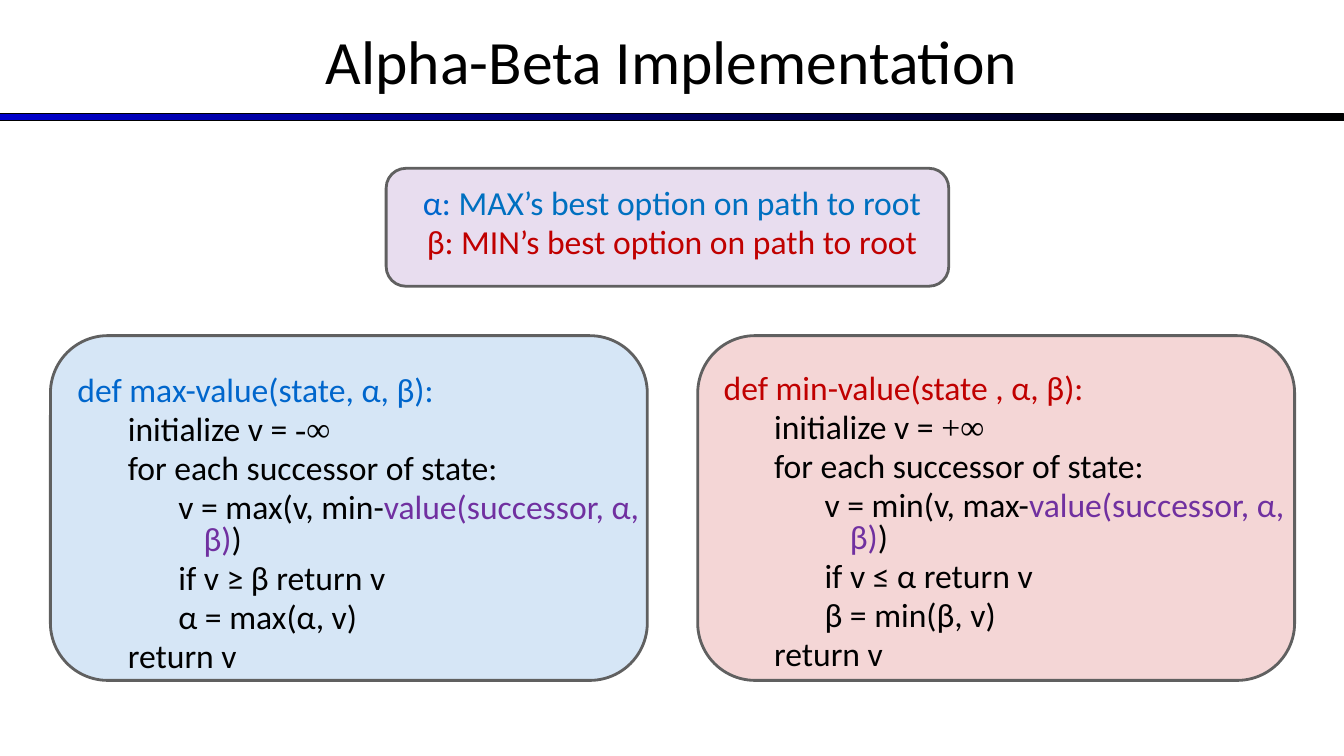
from dataclasses import dataclass

from lxml.etree import SubElement
from pptx import Presentation
from pptx.dml.color import RGBColor
from pptx.enum.shapes import MSO_SHAPE
from pptx.enum.text import MSO_ANCHOR, PP_ALIGN
from pptx.oxml.ns import qn
from pptx.util import Inches, Pt

BLACK, BLUE, LIGHT_BLUE = "000000", "0066CC", "0070C0"
RED, PURPLE, OUTLINE = "C00000", "7030A0", "606060"
BODY_FONT, SYMBOL_FONT = "Calibri", "Times New Roman"
INDENTS = [(0.37, -0.37), (0.81, -0.31), (1.25, -0.25)]


@dataclass
class Span:
    text: str
    color: str = BLACK
    font: str = BODY_FONT


@dataclass
class Line:
    level: int
    spans: list[Span]


@dataclass
class Box:
    left: float
    top: float
    width: float
    height: float

    def lengths(self) -> list[int]:
        return [Inches(n) for n in (self.left, self.top, self.width, self.height)]


@dataclass
class Panel:
    frame: Box
    color: str
    text_box: Box
    lines: list[Line]
    alignment: PP_ALIGN = PP_ALIGN.LEFT


def rgb(color: str) -> RGBColor:
    return RGBColor.from_string(color)


def add_span(paragraph, text: str, *, color: str = BLACK,
             font: str = BODY_FONT, size: float = 24) -> None:
    run = paragraph.add_run()
    run.text = text
    run.font.name = font
    run.font.size = Pt(size)
    run.font.color.rgb = rgb(color)


def add_lines(slide, box: Box, lines: list[Line], alignment: PP_ALIGN) -> None:
    frame = slide.shapes.add_textbox(*box.lengths()).text_frame
    frame.word_wrap = True
    for index, line in enumerate(lines):
        paragraph = frame.add_paragraph() if index else frame.paragraphs[0]
        paragraph.level = line.level
        paragraph.alignment = alignment
        paragraph.line_spacing = 0.8
        paragraph.space_before = Pt(4.8 if index else 0)
        margin, indent = INDENTS[line.level]
        properties = paragraph._p.get_or_add_pPr()
        properties.set("marL", str(Inches(margin)))
        properties.set("indent", str(Inches(indent)))
        for span in line.spans:
            add_span(paragraph, span.text, color=span.color, font=span.font)


def add_panel(slide, panel: Panel) -> None:
    shape = slide.shapes.add_shape(MSO_SHAPE.ROUNDED_RECTANGLE, *panel.frame.lengths())
    shape.shadow.inherit = False
    shape.fill.solid()
    shape.fill.fore_color.rgb = rgb(panel.color)
    fill_color = shape._element.spPr.find(f"{qn('a:solidFill')}/{qn('a:srgbClr')}")
    SubElement(fill_color, qn("a:alpha")).set("val", "16000")
    shape.line.color.rgb = rgb(OUTLINE)
    shape.line.width = Pt(2)
    add_lines(slide, panel.text_box, panel.lines, panel.alignment)


def add_title(slide, text: str) -> None:
    title = slide.shapes.title
    title.left, title.top, title.width, title.height = Box(0, -0.03, 13.33, 1.25).lengths()
    title.text_frame.vertical_anchor = MSO_ANCHOR.MIDDLE
    paragraph = title.text_frame.paragraphs[0]
    paragraph.alignment = PP_ALIGN.CENTER
    add_span(paragraph, text, size=44)


def add_title_rule(slide) -> None:
    rule = slide.shapes.add_shape(MSO_SHAPE.RECTANGLE, *Box(0, 1.13, 13.33, 0.07).lengths())
    rule.shadow.inherit = False
    rule.fill.gradient()
    rule.fill.gradient_angle = 0
    for stop, position, color in zip(rule.fill.gradient_stops, (0, 1), ("0000CC", BLACK)):
        stop.position = position
        stop.color.rgb = rgb(color)
    rule.line.color.rgb = rgb(BLACK)
    rule.line.width = Pt(0.75)


def value_function(header: str, color: str, start: str, update: str,
                   cutoff: str, bound: str) -> list[Line]:
    """Pseudocode shared by the max and min players."""
    return [
        Line(0, [Span(header, color)]),
        Line(1, [Span("initialize v = "), Span(start, font=SYMBOL_FONT)]),
        Line(1, [Span("for each successor of state:")]),
        Line(2, [Span(update), Span("value(successor, α, β)", PURPLE), Span(")")]),
        Line(2, [Span(cutoff)]),
        Line(2, [Span(bound)]),
        Line(1, [Span("return v")]),
    ]


PANELS = [
    Panel(Box(3.83, 1.67, 5.58, 1.17), PURPLE, Box(0, 1.83, 12.83, 0.95), [
        Line(1, [Span("α: ", BLUE), Span("MAX’s best option on path to root", LIGHT_BLUE)]),
        Line(1, [Span("β: MIN’s best option on path to root", RED)]),
    ], PP_ALIGN.CENTER),
    Panel(Box(0.5, 3.33, 5.92, 3.42), BLUE, Box(0.67, 3.69, 5.92, 3.05),
          value_function("def max-value(state, α, β):", BLUE, "-∞", "v = max(v, min-",
                         "if v ≥ β return v", "α = max(α, v)")),
    Panel(Box(6.92, 3.33, 5.92, 3.42), RED, Box(7.08, 3.67, 5.83, 3.05),
          value_function("def min-value(state , α, β):", RED, "+∞", "v = min(v, max-",
                         "if v ≤ α return v", "β = min(β, v)")),
]


def main() -> None:
    presentation = Presentation()
    presentation.slide_width = Inches(13.33)
    presentation.slide_height = Inches(7.5)
    slide = presentation.slides.add_slide(presentation.slide_layouts[5])
    add_title_rule(slide)
    add_title(slide, "Alpha-Beta Implementation")
    for panel in PANELS:
        add_panel(slide, panel)
    presentation.save("out.pptx")


if __name__ == "__main__":
    main()
